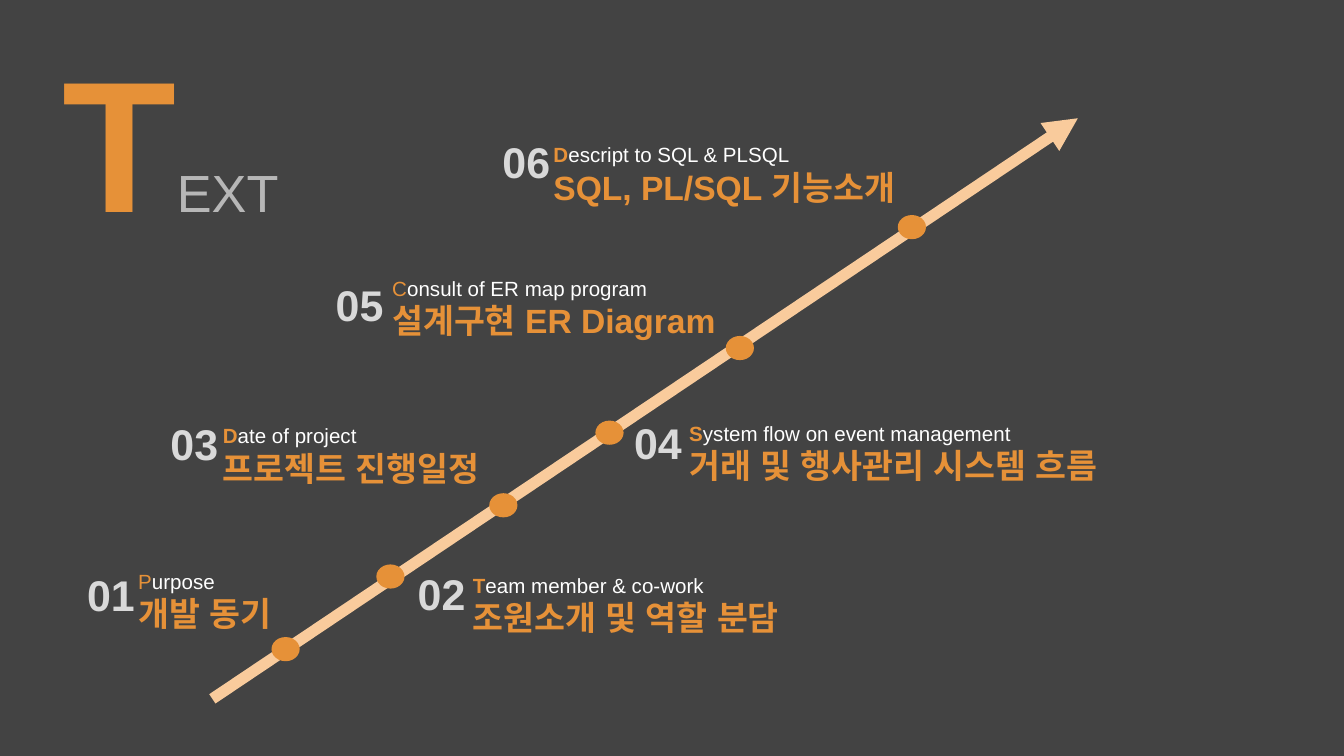
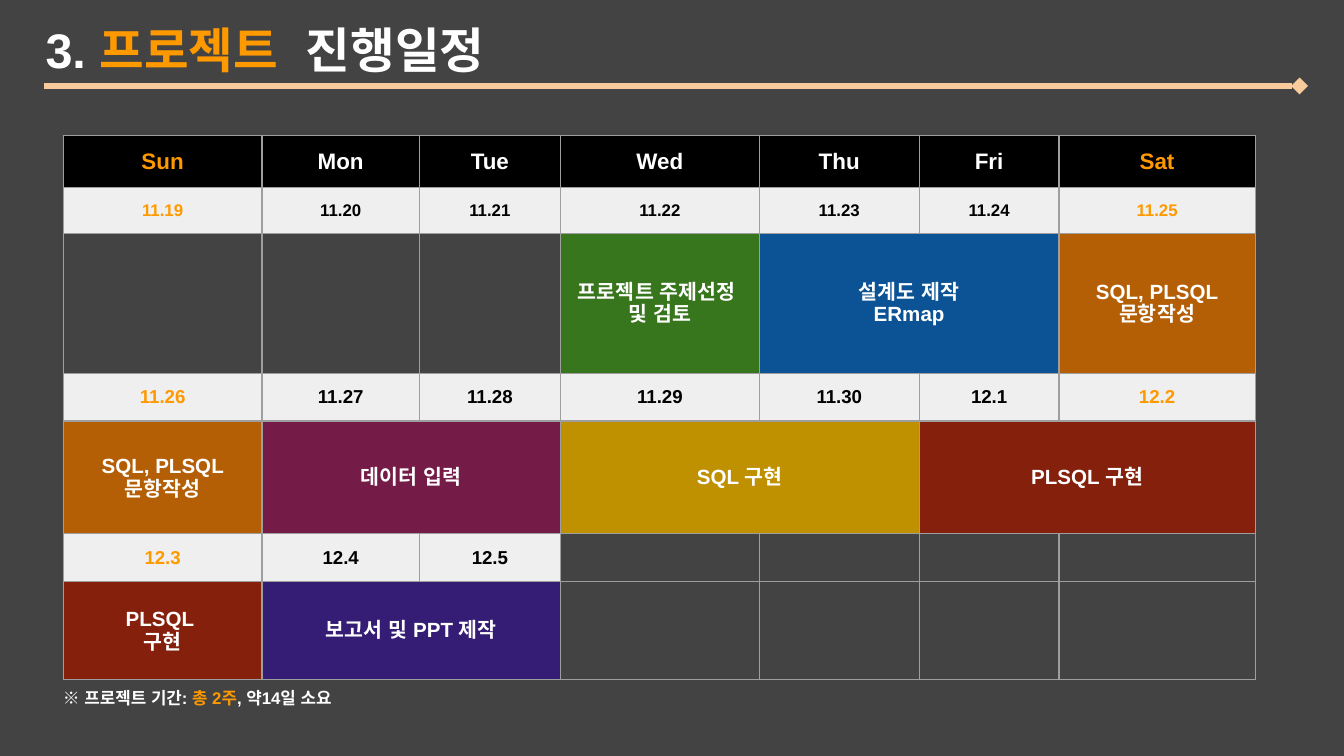
from dataclasses import dataclass

from lxml import etree
from pptx import Presentation
from pptx.dml.color import RGBColor
from pptx.enum.shapes import MSO_CONNECTOR, MSO_SHAPE
from pptx.enum.text import MSO_ANCHOR, MSO_AUTO_SIZE, PP_ALIGN
from pptx.oxml.ns import qn
from pptx.slide import Slide
from pptx.table import _Cell
from pptx.text.text import Font
from pptx.util import Inches, Pt

STRAIGHT = MSO_CONNECTOR.STRAIGHT
OVAL = MSO_SHAPE.OVAL
TOP, MIDDLE = MSO_ANCHOR.TOP, MSO_ANCHOR.MIDDLE
CENTER = PP_ALIGN.CENTER
GROW = MSO_AUTO_SIZE.SHAPE_TO_FIT_TEXT

FONT = "Arial"
INSET = Inches(0.1)
BACKGROUND = RGBColor(0x43, 0x43, 0x43)
ORANGE = RGBColor(0xE6, 0x91, 0x38)
BRIGHT_ORANGE = RGBColor(0xFF, 0x99, 0x00)
PEACH = RGBColor(0xF9, 0xCB, 0x9C)
WHITE = RGBColor(0xFF, 0xFF, 0xFF)
BLACK = RGBColor(0x00, 0x00, 0x00)
NUMBER_GREY = RGBColor(0xD9, 0xD9, 0xD9)
TITLE_GREY = RGBColor(0xB7, 0xB7, 0xB7)
DATE_GREY = RGBColor(0xEF, 0xEF, 0xEF)
GREEN = RGBColor(0x38, 0x76, 0x1D)
BLUE = RGBColor(0x0B, 0x53, 0x94)
BROWN = RGBColor(0xB4, 0x5F, 0x06)
PLUM = RGBColor(0x74, 0x1B, 0x47)
GOLD = RGBColor(0xBF, 0x90, 0x00)
RED = RGBColor(0x85, 0x20, 0x0C)
INDIGO = RGBColor(0x35, 0x1C, 0x75)
BORDER = "9E9E9E"


@dataclass(frozen=True)
class Span:
    text: str
    size: float
    color: RGBColor
    bold: bool = True


@dataclass(frozen=True)
class Box:
    left: float
    top: float
    width: float
    height: float


@dataclass(frozen=True)
class Milestone:
    number: str
    english: str
    korean: str
    number_box: Box
    label_box: Box
    dot: tuple[float, float]
    bold_initial: bool = True


@dataclass(frozen=True)
class Task:
    label: str
    column: int
    fill: RGBColor
    days: int = 1


@dataclass(frozen=True)
class Week:
    dates: tuple[str, ...]
    date_size: float
    tasks: tuple[Task, ...]
    task_height: float


MILESTONES = (
    Milestone("01", "Purpose", "개발 동기", Box(0.55, 4.13, 0.66, 0.59),
              Box(0.93, 4.13, 1.5, 0.69), (2.02, 4.74), False),
    Milestone("02", "Team member & co-work", "조원소개 및 역할 분담", Box(3.01, 4.12, 0.66, 0.59),
              Box(3.42, 4.16, 2.74, 0.69), (2.8, 4.2)),
    Milestone("03", "Date of project", "프로젝트 진행일정", Box(1.17, 3.01, 0.59, 0.59),
              Box(1.56, 3.05, 2.33, 0.69), (3.64, 3.67)),
    Milestone("04", "System flow on event management", "거래 및 행사관리 시스템 흐름",
              Box(4.62, 3, 0.57, 0.59), Box(5.03, 3.03, 3.64, 0.69), (4.43, 3.13)),
    Milestone("05", "Consult of ER map program", "설계구현 ER Diagram", Box(2.4, 1.97, 0.6, 0.59),
              Box(2.82, 1.95, 2.69, 0.69), (5.4, 2.5), False),
    Milestone("06", "Descript to SQL & PLSQL", "SQL, PL/SQL 기능소개", Box(3.64, 0.91, 0.6, 0.59),
              Box(4.02, 0.96, 2.97, 0.69), (6.68, 1.6)),
)

DAYS = ("Sun", "Mon", "Tue", "Wed", "Thu", "Fri", "Sat")
WEEKEND = (0, 6)
DAY_WIDTHS = (1.48, 1.17, 1.05, 1.48, 1.19, 1.04, 1.46)
# Minimum heights: header and date rows grow to fit their text
HEADER_HEIGHT = 0.24
DATE_HEIGHT = 0
WEEKS = (
    Week(("11.19", "11.20", "11.21", "11.22", "11.23", "11.24", "11.25"), 9,
         (Task("프로젝트 주제선정 \n및 검토", 3, GREEN),
          Task("설계도 제작\nERmap", 4, BLUE, 2),
          Task("SQL, PLSQL 문항작성", 6, BROWN)), 1.04),
    Week(("11.26", "11.27", "11.28", "11.29", "11.30", "12.1", "12.2"), 10,
         (Task("SQL, PLSQL 문항작성", 0, BROWN),
          Task("데이터 입력", 1, PLUM, 2),
          Task("SQL 구현", 3, GOLD, 2),
          Task("PLSQL 구현", 5, RED, 2)), 0.84),
    Week(("12.3", "12.4", "12.5"), 10,
         (Task("PLSQL \n구현", 0, RED),
          Task("보고서 및 PPT 제작", 1, INDIGO, 2)), 0.73),
)


def add_slide(deck: Presentation) -> Slide:
    slide = deck.slides.add_slide(deck.slide_layouts[6])
    slide.background.fill.solid()
    slide.background.fill.fore_color.rgb = BACKGROUND
    return slide


def style_font(font: Font, style: Span) -> None:
    font.name, font.size, font.bold = FONT, Pt(style.size), style.bold
    font.color.rgb = style.color
    # Korean text takes the same typeface
    etree.SubElement(font._element, qn("a:ea"), typeface=FONT)


def add_text(slide: Slide, box: Box, *lines: tuple[Span, ...]) -> None:
    area = slide.shapes.add_textbox(Inches(box.left), Inches(box.top),
                                    Inches(box.width), Inches(box.height))
    frame = area.text_frame
    frame.word_wrap, frame.auto_size = True, GROW
    frame.margin_left = frame.margin_right = frame.margin_top = frame.margin_bottom = INSET
    for index, spans in enumerate(lines):
        paragraph = frame.add_paragraph() if index else frame.paragraphs[0]
        if len(spans) == 1:
            paragraph.text = spans[0].text
            style_font(paragraph.font, spans[0])
            continue
        for span in spans:
            run = paragraph.add_run()
            run.text = span.text
            style_font(run.font, span)


def add_line(slide: Slide, start: tuple[float, float], end: tuple[float, float],
             width: float, tip: str, shape: str) -> None:
    line = slide.shapes.add_connector(STRAIGHT, *map(Inches, start + end))
    line.line.color.rgb, line.line.width = PEACH, Pt(width)
    properties = line._element.spPr
    etree.SubElement(properties.find(qn("a:ln")), qn(tip), type=shape)
    etree.SubElement(properties, qn("a:effectLst"))


def add_milestone(slide: Slide, item: Milestone) -> None:
    add_text(slide, item.label_box,
             (Span(item.english[0], 11, ORANGE, item.bold_initial),
              Span(item.english[1:], 11, WHITE, False)),
             (Span(item.korean, 18, ORANGE),))
    add_text(slide, item.number_box, (Span(item.number, 23, NUMBER_GREY),))
    dot = slide.shapes.add_shape(OVAL, *map(Inches, item.dot), Inches(0.21), Inches(0.18))
    dot.shadow.inherit = False
    dot.fill.solid()
    dot.fill.fore_color.rgb = ORANGE
    dot.line.fill.background()


def clear_cell(cell: _Cell) -> None:
    """Give a cell its border, no fill and no insets."""
    cell.margin_left = cell.margin_right = cell.margin_top = cell.margin_bottom = 0
    cell.fill.background()
    properties = cell._tc.get_or_add_tcPr()
    for position, side in enumerate(("a:lnL", "a:lnR", "a:lnT", "a:lnB")):
        edge = etree.Element(qn(side), w=str(Pt(0.75)))
        fill = etree.SubElement(edge, qn("a:solidFill"))
        etree.SubElement(fill, qn("a:srgbClr"), val=BORDER)
        properties.insert(position, edge)


def fill_cell(cell: _Cell, text: Span, fill: RGBColor, anchor: MSO_ANCHOR = TOP) -> None:
    cell.margin_left = cell.margin_right = cell.margin_top = cell.margin_bottom = INSET
    cell.vertical_anchor = anchor
    cell.fill.solid()
    cell.fill.fore_color.rgb = fill
    paragraph = cell.text_frame.paragraphs[0]
    paragraph.text = text.text
    paragraph.alignment = CENTER
    style_font(paragraph.font, text)


def day_color(column: int, weekday: RGBColor) -> RGBColor:
    return BRIGHT_ORANGE if column in WEEKEND else weekday


def add_schedule(slide: Slide) -> None:
    heights = [HEADER_HEIGHT]
    for week in WEEKS:
        heights += [DATE_HEIGHT, week.task_height]
    table = slide.shapes.add_table(len(heights), len(DAYS), Inches(0.47), Inches(1.01),
                                   Inches(sum(DAY_WIDTHS)), Inches(sum(heights))).table
    table.first_row = table.horz_banding = False
    for column, width in zip(table.columns, DAY_WIDTHS):
        column.width = Inches(width)
    for row, height in zip(table.rows, heights):
        row.height = Inches(height)
    for cell in table.iter_cells():
        clear_cell(cell)

    # Weekday header
    for column, day in enumerate(DAYS):
        fill_cell(table.cell(0, column), Span(day, 12, day_color(column, WHITE)), BLACK)

    # Each week: a row of dates above a row of tasks
    for index, week in enumerate(WEEKS):
        date_row = 1 + 2 * index
        task_row = date_row + 1
        for column, date in enumerate(week.dates):
            fill_cell(table.cell(date_row, column),
                      Span(date, week.date_size, day_color(column, BLACK)), DATE_GREY)
        for task in week.tasks:
            cell = table.cell(task_row, task.column)
            if task.days > 1:
                cell.merge(table.cell(task_row, task.column + task.days - 1))
            fill_cell(cell, Span(task.label, 11, WHITE), task.fill, MIDDLE)


def build_contents(deck: Presentation) -> None:
    slide = add_slide(deck)
    add_text(slide, Box(0.37, 0.09, 3.11, 1.89),
             (Span("T", 100, ORANGE), Span("EXT", 28, TITLE_GREY, False)))
    add_line(slide, (8.02, 0.88), (1.58, 5.2), 6, "a:headEnd", "triangle")
    for milestone in MILESTONES:
        add_milestone(slide, milestone)


def build_timetable(deck: Presentation) -> None:
    slide = add_slide(deck)
    add_schedule(slide)
    # Project duration
    add_text(slide, Box(0.37, 5.02, 2.32, 0.35),
             (Span("※ 프로젝트 기간: ", 9, WHITE), Span("총 2주", 9, BRIGHT_ORANGE),
              Span(", 약14일 소요", 9, WHITE)))
    # Title with its rule
    add_text(slide, Box(0.24, 0.05, 4.59, 0.64),
             (Span("3.", 26, WHITE), Span(" 프로젝트 ", 26, BRIGHT_ORANGE),
              Span(" 진행일정", 26, WHITE)))
    add_line(slide, (0.33, 0.64), (9.67, 0.64), 3, "a:tailEnd", "diamond")


def main() -> None:
    deck = Presentation()
    # Widescreen, 16:9
    deck.slide_width = Inches(10)
    deck.slide_height = Inches(10 * 9 / 16)
    build_contents(deck)
    build_timetable(deck)
    deck.save("out.pptx")


if __name__ == "__main__":
    main()
